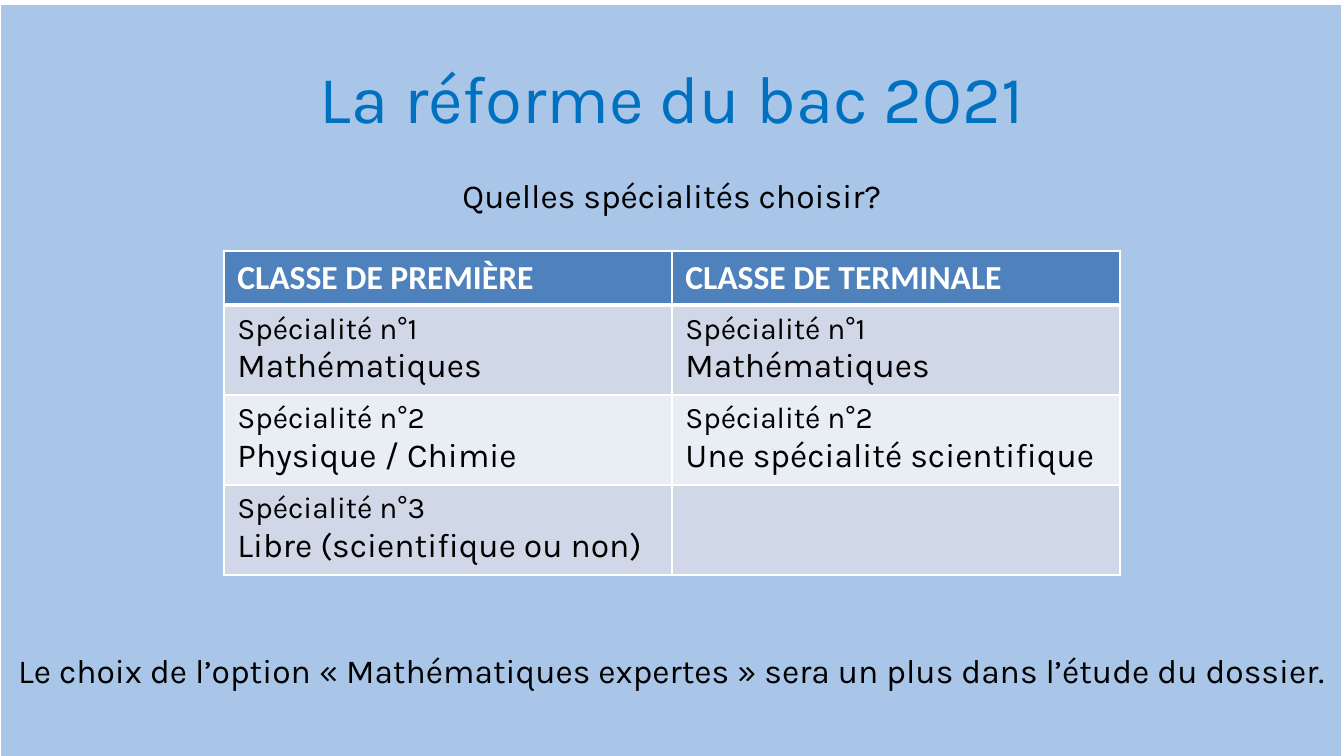
from dataclasses import dataclass

from lxml import etree
from pptx import Presentation
from pptx import util as u
from pptx.dml import color
from pptx.enum import shapes, text
from pptx.oxml import ns

PX = 914400 / 134.4
WIDTH, HEIGHT = 1344, 756


@dataclass(frozen=True)
class Theme:
    body_font: str = "Karla"
    header_font: str = "Calibri"
    title_size: int = 36
    body_size: int = 18
    label_size: int = 16
    title: str = "0070C0"
    ink: str = "000000"
    white: str = "FFFFFF"
    backdrop: str = "558ED5"
    header: str = "4F81BD"
    bands: tuple = ("D0D8E8", "E9EDF4")


THEME = Theme()

HEADERS = ("CLASSE DE PREMIÈRE", "CLASSE DE TERMINALE")
CHOICES = (
    ("Spécialité n°1", ("Mathématiques", "Mathématiques")),
    ("Spécialité n°2", ("Physique / Chimie", "Une spécialité scientifique")),
    ("Spécialité n°3", ("Libre (scientifique ou non)", None)),
)


def px(length):
    return u.Emu(round(length * PX))


def rgb(code):
    return color.RGBColor.from_string(code)


def place(shape, left, top, width, height):
    shape.left, shape.top = px(left), px(top)
    shape.width, shape.height = px(width), px(height)


def add_span(para, words, size, ink, font=THEME.body_font, bold=False):
    span = para.add_run()
    span.text = words
    span.font.name = font
    span.font.size = u.Pt(size)
    span.font.bold = bold
    span.font.color.rgb = rgb(ink)


def add_backdrop(page):
    panel = page.shapes.add_shape(
        shapes.MSO_SHAPE.RECTANGLE, px(-1), px(3), px(WIDTH), px(HEIGHT))
    panel.shadow.inherit = False
    panel.fill.solid()
    panel.fill.fore_color.rgb = rgb(THEME.backdrop)
    tint = panel._element.spPr.find(ns.qn("a:solidFill"))[0]
    etree.SubElement(tint, ns.qn("a:alpha"), val="50000")
    panel.line.color.rgb = rgb(THEME.white)
    panel.line.width = u.Pt(2)
    page.shapes._spTree.insert(2, panel._element)


def set_title(page, words):
    title = page.shapes.title
    place(title, 0, 50, WIDTH, 95)
    title.text_frame.vertical_anchor = text.MSO_ANCHOR.TOP
    para = title.text_frame.paragraphs[0]
    para.alignment = text.PP_ALIGN.CENTER
    add_span(para, words, THEME.title_size, THEME.title)


def add_caption(page, top, words):
    box = page.shapes.add_textbox(0, px(top), px(WIDTH), px(60))
    frame = box.text_frame
    frame.word_wrap = True
    frame.margin_left = frame.margin_right = 0
    frame.vertical_anchor = text.MSO_ANCHOR.MIDDLE
    para = frame.paragraphs[0]
    para.alignment = text.PP_ALIGN.CENTER
    add_span(para, words, THEME.body_size, THEME.ink)


def style_cell(cell, fill, bottom=1, top=1):
    properties = cell._tc.get_or_add_tcPr()
    for side, points in (("L", 1), ("R", 1), ("T", top), ("B", bottom)):
        border = etree.SubElement(
            properties, ns.qn(f"a:ln{side}"), w=str(u.Pt(points)))
        paint = etree.SubElement(border, ns.qn("a:solidFill"))
        etree.SubElement(paint, ns.qn("a:srgbClr"), val=THEME.white)
    cell.fill.solid()
    cell.fill.fore_color.rgb = rgb(fill)


def fill_choice(cell, label, subject):
    frame = cell.text_frame
    add_span(frame.paragraphs[0], label, THEME.label_size, THEME.ink)
    add_span(frame.add_paragraph(), subject, THEME.body_size, THEME.ink)


def add_choices(page):
    table = page.shapes.add_table(
        len(CHOICES) + 1, len(HEADERS), px(224), px(251), px(896), px(324)).table
    for column in table.columns:
        column.width = px(448)
    for index, row in enumerate(table.rows):
        row.height = px(90 if index else 54)

    for column, words in enumerate(HEADERS):
        cell = table.cell(0, column)
        style_cell(cell, THEME.header, bottom=3)
        add_span(cell.text_frame.paragraphs[0], words, THEME.body_size,
                 THEME.white, THEME.header_font, True)

    for row, (label, subjects) in enumerate(CHOICES, 1):
        for column, subject in enumerate(subjects):
            cell = table.cell(row, column)
            style_cell(cell, THEME.bands[(row - 1) % 2], top=3 if row == 1 else 1)
            if subject:
                fill_choice(cell, label, subject)


def main():
    deck = Presentation()
    deck.slide_width, deck.slide_height = px(WIDTH), px(HEIGHT)
    page = deck.slides.add_slide(deck.slide_layouts.get_by_name("Title Only"))
    add_backdrop(page)
    set_title(page, "La réforme du bac 2021")
    add_caption(page, 165, "Quelles spécialités choisir?")
    add_choices(page)
    add_caption(page, 640, "Le choix de l’option « Mathématiques expertes » "
                           "sera un plus dans l’étude du dossier.")
    deck.save("out.pptx")


if __name__ == "__main__":
    main()
